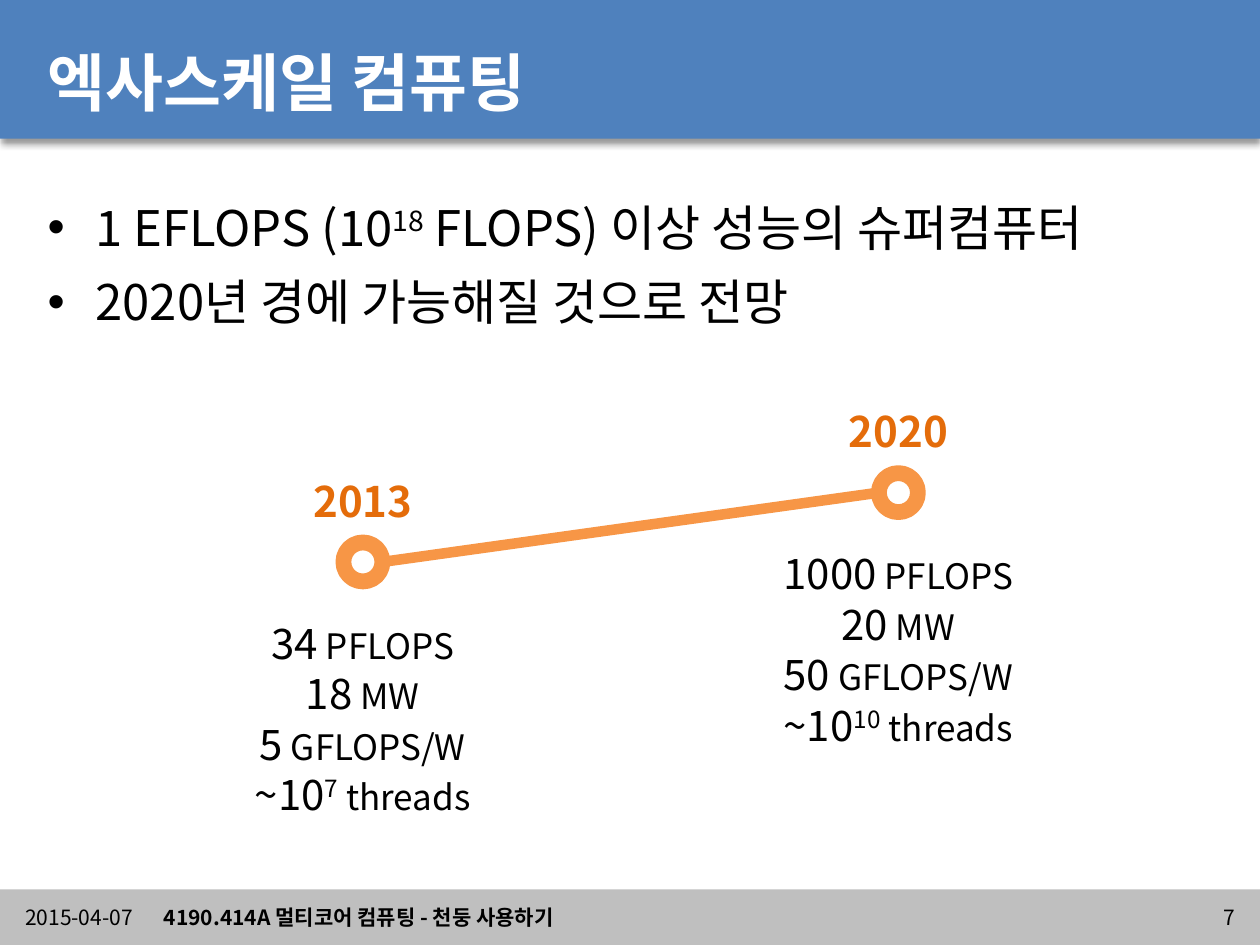
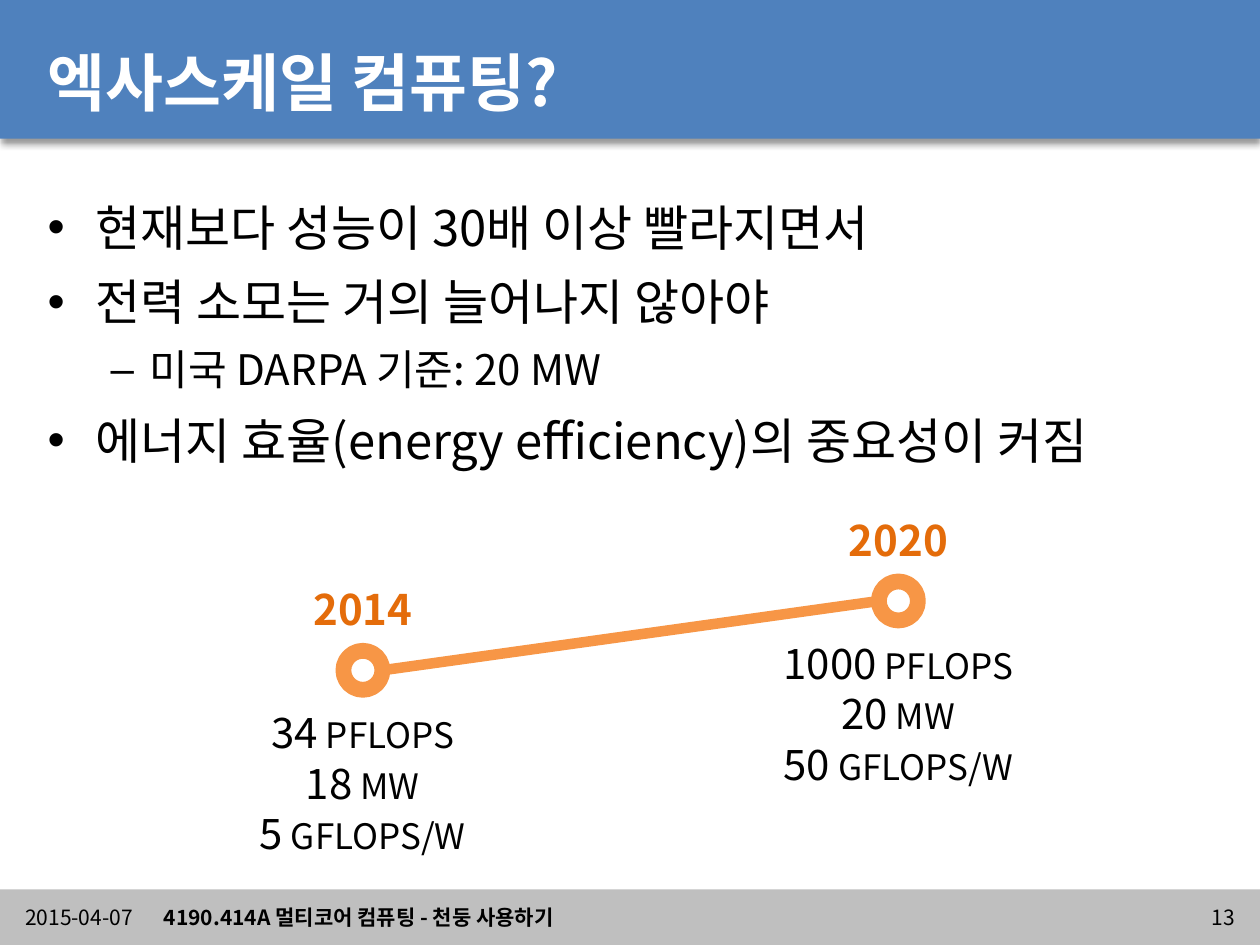
from lxml.etree import SubElement
from pptx import Presentation
from pptx.dml.color import RGBColor
from pptx.enum.shapes import MSO_CONNECTOR, MSO_SHAPE
from pptx.enum.text import MSO_ANCHOR, MSO_AUTO_SIZE, PP_ALIGN
from pptx.oxml import parse_xml
from pptx.oxml.ns import nsdecls, qn
from pptx.util import Inches, Pt

FONT = "Noto Sans CJK KR"
COLORS = {"title_band": "4F81BD", "footer_band": "BFBFBF", "white": "FFFFFF",
          "black": "000000", "marker": "F79646", "year": "E46C0A"}
DATE = "2015-04-07"
COURSE = "4190.414A 멀티코어 컴퓨팅 - 천둥 사용하기"

# Text between carets is superscript. Bullets are (level, text).
# Each milestone is (year, [(amount, unit), ...]).
SLIDES = [
    {
        "title": "엑사스케일 컴퓨팅",
        "number": "7",
        "bullets": [
            (0, "1 EFLOPS (10^18^ FLOPS) 이상 성능의 슈퍼컴퓨터"),
            (0, "2020년 경에 가능해질 것으로 전망"),
        ],
        "body_height": 1.26,
        "milestones": [
            ("2013", [("34", " PFLOPS"), ("18", " MW"), ("5", " GFLOPS/W"),
                      ("~10^7^", " threads")]),
            ("2020", [("1000", " PFLOPS"), ("20", " MW"), ("50", " GFLOPS/W"),
                      ("~10^10^", " threads")]),
        ],
        "start_y": 4.46,
        "figures_gap": 0.39,
    },
    {
        "title": "엑사스케일 컴퓨팅?",
        "number": "13",
        "bullets": [
            (0, "현재보다 성능이 30배 이상 빨라지면서"),
            (0, "전력 소모는 거의 늘어나지 않아야"),
            (1, "미국 DARPA 기준: 20 MW"),
            (0, "에너지 효율(energy efficiency)의 중요성이 커짐"),
        ],
        "body_height": 2.36,
        "milestones": [
            ("2014", [("34", " PFLOPS"), ("18", " MW"), ("5", " GFLOPS/W")]),
            ("2020", [("1000", " PFLOPS"), ("20", " MW"), ("50", " GFLOPS/W")]),
        ],
        "start_y": 5.32,
        "figures_gap": 0.24,
    },
]

# Bullet character, size, left margin and hanging indent for each level
LEVELS = [("•", 28, 0.38, 0.38), ("–", 24, 0.81, 0.31)]
MILESTONE_X = (2.88, 7.13)
RISE = 0.55
MARKER_SIZE = 0.31
YEAR_BOX = (1.02, 0.5)
YEAR_OFFSET = 0.74
FIGURES_WIDTH = 2.1
FIGURE_LINE = 0.4


def rgb(name):
    return RGBColor.from_string(COLORS[name])


def style_run(run, size, color="black", bold=False):
    run.font.size = Pt(size)
    run.font.bold = bold
    run.font.color.rgb = rgb(color)
    run.font.name = FONT
    SubElement(run.font._element, qn("a:ea")).set("typeface", FONT)


def add_runs(paragraph, text, size, color="black", bold=False):
    for index, piece in enumerate(text.split("^")):
        if piece:
            run = paragraph.add_run()
            run.text = piece
            style_run(run, size, color, bold)
            if index % 2:
                run.font._element.set("baseline", "30000")


def add_text_frame(slide, left, top, width, height, wrap=True,
                   anchor=MSO_ANCHOR.TOP, inset=True):
    box = slide.shapes.add_textbox(*map(Inches, (left, top, width, height)))
    frame = box.text_frame
    frame.word_wrap = wrap
    frame.vertical_anchor = anchor
    if not inset:
        frame.margin_left = frame.margin_right = 0
        frame.margin_top = frame.margin_bottom = 0
    return frame


def paragraphs(frame, count):
    return [frame.paragraphs[0]] + [frame.add_paragraph() for _ in range(count - 1)]


def add_band(slide, top, height, color):
    band = slide.shapes.add_shape(MSO_SHAPE.RECTANGLE, 0, Inches(top),
                                  Inches(10), Inches(height))
    band.shadow.inherit = False
    band.fill.solid()
    band.fill.fore_color.rgb = rgb(color)
    band.line.fill.background()
    return band


def add_shadow(band):
    properties = band._element.spPr
    properties.remove(properties.find(qn("a:effectLst")))
    properties.append(parse_xml(
        f'<a:effectLst {nsdecls("a")}>'
        f'<a:outerShdw blurRad="{Pt(4)}" dist="{Pt(3)}" dir="5400000" rotWithShape="0">'
        f'<a:srgbClr val="{COLORS["black"]}"><a:alpha val="40000"/></a:srgbClr>'
        '</a:outerShdw></a:effectLst>'))


def add_title(slide, text):
    title = slide.shapes.title
    title.left, title.top, title.width, title.height = map(
        Inches, (0.28, 0.29, 9.45, 0.71))
    frame = title.text_frame
    frame.text = text
    frame.auto_size = MSO_AUTO_SIZE.NONE
    frame.vertical_anchor = MSO_ANCHOR.MIDDLE
    frame.paragraphs[0].alignment = PP_ALIGN.LEFT
    style_run(frame.paragraphs[0].runs[0], 36, "white", True)
    slide.shapes._spTree.append(title._element)  # in front of its band


def add_footer(slide, number):
    parts = [(0.2, 1.1, DATE, False, PP_ALIGN.LEFT),
             (1.3, 7.8, COURSE, True, PP_ALIGN.LEFT),
             (9.09, 0.71, number, False, PP_ALIGN.RIGHT)]
    for left, width, text, bold, alignment in parts:
        frame = add_text_frame(slide, left, 7.16, width, 0.24,
                               anchor=MSO_ANCHOR.MIDDLE, inset=False)
        frame.paragraphs[0].alignment = alignment
        add_runs(frame.paragraphs[0], text, 12, bold=bold)


def add_bullets(slide, bullets, height):
    frame = add_text_frame(slide, 0.28, 1.47, 9.45, height)
    for index, (paragraph, (level, text)) in enumerate(
            zip(paragraphs(frame, len(bullets)), bullets)):
        mark, size, margin, hanging = LEVELS[level]
        properties = paragraph._p.get_or_add_pPr()
        properties.set("marL", str(Inches(margin)))
        properties.set("indent", str(-Inches(hanging)))
        SubElement(properties, qn("a:buFont")).set("typeface", "Arial")
        SubElement(properties, qn("a:buChar")).set("char", mark)
        paragraph.level = level
        paragraph.line_spacing = 1.1
        if index:
            paragraph.space_before = Pt(size * 0.2)
        add_runs(paragraph, text, size)


def add_milestone(slide, x, y, year, figures, figures_gap):
    """Draw a ring centred on x, y with its year above and figures below."""
    frame = add_text_frame(slide, x - FIGURES_WIDTH / 2, y + figures_gap,
                           FIGURES_WIDTH, FIGURE_LINE * len(figures) + 0.1, wrap=False)
    for paragraph, (amount, unit) in zip(paragraphs(frame, len(figures)), figures):
        paragraph.alignment = PP_ALIGN.CENTER
        add_runs(paragraph, amount, 24)
        add_runs(paragraph, unit, 20)

    ring = slide.shapes.add_shape(
        MSO_SHAPE.OVAL, Inches(x - MARKER_SIZE / 2), Inches(y - MARKER_SIZE / 2),
        Inches(MARKER_SIZE), Inches(MARKER_SIZE))
    ring.shadow.inherit = False
    ring.fill.solid()
    ring.fill.fore_color.rgb = rgb("white")
    ring.line.color.rgb = rgb("marker")
    ring.line.width = Pt(9)

    width, height = YEAR_BOX
    frame = add_text_frame(slide, x - width / 2, y - YEAR_OFFSET, width, height,
                           wrap=False, anchor=MSO_ANCHOR.BOTTOM)
    frame.paragraphs[0].alignment = PP_ALIGN.CENTER
    add_runs(frame.paragraphs[0], year, 24, "year", True)


def add_timeline(slide, milestones, start_y, figures_gap):
    for index, (x, (year, figures)) in enumerate(zip(MILESTONE_X, milestones)):
        add_milestone(slide, x, start_y - index * RISE, year, figures, figures_gap)
    start_x, end_x = MILESTONE_X
    trend = slide.shapes.add_connector(
        MSO_CONNECTOR.STRAIGHT,
        Inches(start_x + MARKER_SIZE / 2), Inches(start_y),
        Inches(end_x - MARKER_SIZE / 2), Inches(start_y - RISE))
    trend.line.color.rgb = rgb("marker")
    trend.line.width = Pt(6)
    SubElement(trend._element.spPr, qn("a:effectLst"))


def main():
    deck = Presentation()
    deck.slide_width, deck.slide_height = Inches(10), Inches(7.5)
    for content in SLIDES:
        slide = deck.slides.add_slide(deck.slide_layouts[5])
        add_band(slide, 7.06, 0.44, "footer_band")
        add_shadow(add_band(slide, 0, 1.1, "title_band"))
        add_title(slide, content["title"])
        add_bullets(slide, content["bullets"], content["body_height"])
        add_footer(slide, content["number"])
        add_timeline(slide, content["milestones"], content["start_y"],
                     content["figures_gap"])
    deck.save("out.pptx")


if __name__ == "__main__":
    main()
